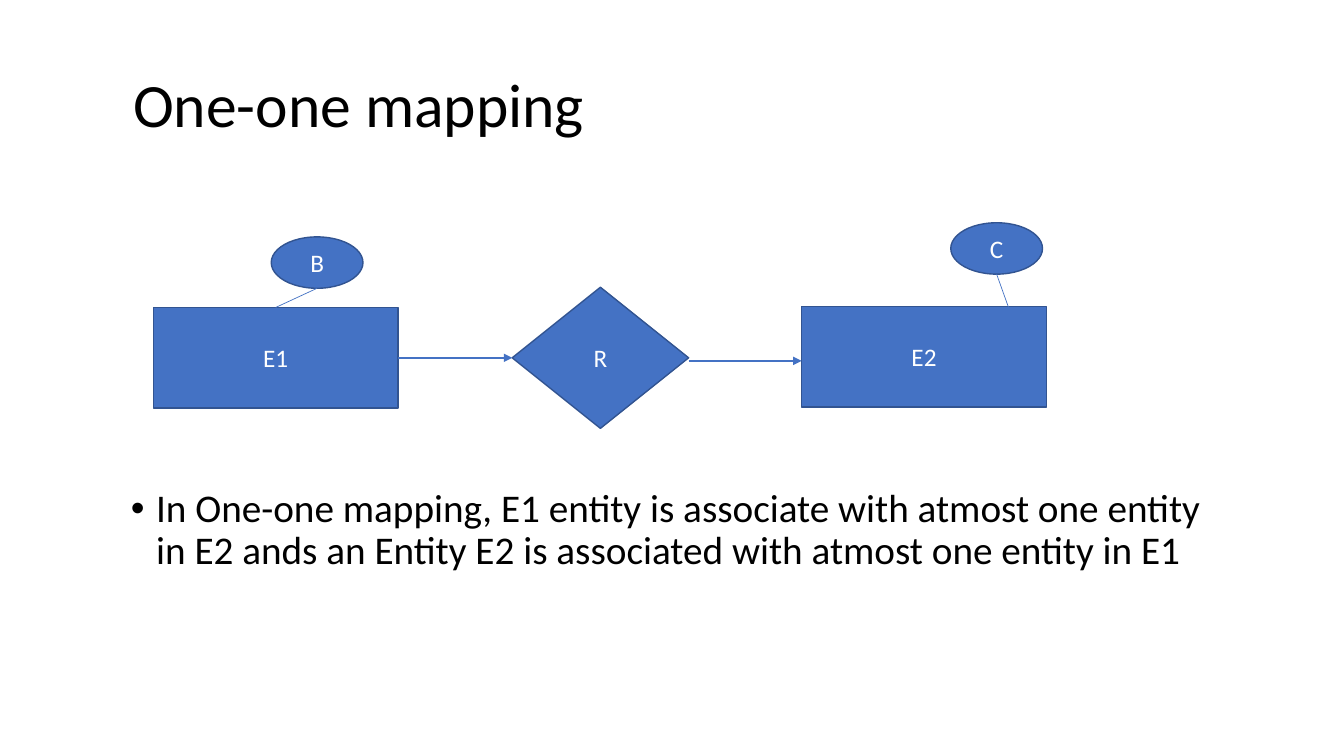
from lxml.etree import SubElement
from pptx import Presentation
from pptx.dml.color import RGBColor
from pptx.enum.shapes import MSO_CONNECTOR, MSO_SHAPE
from pptx.enum.text import MSO_ANCHOR, PP_ALIGN
from pptx.oxml.ns import qn
from pptx.util import Inches, Pt

BLACK = RGBColor(0x00, 0x00, 0x00)
WHITE = RGBColor(0xFF, 0xFF, 0xFF)
BLUE = RGBColor(0x44, 0x72, 0xC4)
DARK_BLUE = RGBColor(0x32, 0x54, 0x91)
FONT = "Calibri"

TITLE = "One-one mapping"
EXPLANATION = (
    "In One-one mapping, E1 entity is associate with atmost one entity "
    "in E2 ands an Entity E2 is associated with atmost one entity in E1"
)

ENTITY = (MSO_SHAPE.RECTANGLE, 2.43, 1.0)
RELATION = (MSO_SHAPE.DIAMOND, 1.75, 1.4)
ATTRIBUTE = (MSO_SHAPE.OVAL, 0.91, 0.51)

# label, kind, left, top
NODES = [
    ("E1", ENTITY, 1.52, 3.05),
    ("E2", ENTITY, 7.95, 3.04),
    ("R", RELATION, 5.08, 2.85),
    ("B", ATTRIBUTE, 2.69, 2.35),
    ("C", ATTRIBUTE, 9.43, 2.21),
]

TOP, LEFT, BOTTOM, RIGHT = range(4)
# start, end, width in points, arrow, joined start (node, side), joined end
LINKS = [
    ((3.15, 2.86), (2.74, 3.05), 0.5, False, ("B", BOTTOM), ("E1", TOP)),
    ((9.88, 2.72), (10.06, 3.21), 0.5, False, ("C", BOTTOM), None),
    ((3.95, 3.55), (5.08, 3.55), 1, True, ("E1", RIGHT), ("R", LEFT)),
    ((6.83, 3.58), (7.95, 3.58), 1, True, None, None),
]


def write(paragraph, text, size, color):
    run = paragraph.add_run()
    run.text = text
    run.font.name = FONT
    run.font.size = Pt(size)
    run.font.color.rgb = color


def add_node(slide, label, kind, left, top):
    preset, width, height = kind
    node = slide.shapes.add_shape(
        preset, Inches(left), Inches(top), Inches(width), Inches(height))
    node.shadow.inherit = False
    node.fill.solid()
    node.fill.fore_color.rgb = BLUE
    node.line.color.rgb = DARK_BLUE
    node.line.width = Pt(1)
    node.text_frame.vertical_anchor = MSO_ANCHOR.MIDDLE
    paragraph = node.text_frame.paragraphs[0]
    paragraph.alignment = PP_ALIGN.CENTER
    write(paragraph, label, 18, WHITE)
    return node


def add_link(slide, nodes, start, end, width, arrow, start_join, end_join):
    link = slide.shapes.add_connector(
        MSO_CONNECTOR.STRAIGHT, *(Inches(v) for v in start + end))
    if start_join:
        link.begin_connect(nodes[start_join[0]], start_join[1])
    if end_join:
        link.end_connect(nodes[end_join[0]], end_join[1])
    link.line.color.rgb = BLUE
    link.line.width = Pt(width)
    if arrow:
        SubElement(link.line._get_or_add_ln(), qn("a:tailEnd"), type="triangle")
    SubElement(link._element.spPr, qn("a:effectLst"))


def add_title(slide):
    title = slide.shapes.title
    title.left, title.top = Inches(1.22), Inches(0.46)
    title.width, title.height = Inches(11.33), Inches(1.21)
    title.text_frame.vertical_anchor = MSO_ANCHOR.MIDDLE
    paragraph = title.text_frame.paragraphs[0]
    paragraph.alignment = PP_ALIGN.LEFT
    paragraph.line_spacing = 0.9
    write(paragraph, TITLE, 44, BLACK)


def add_explanation(slide):
    box = slide.shapes.add_textbox(
        Inches(1.2), Inches(4.8), Inches(10.92), Inches(2.7))
    box.text_frame.word_wrap = True
    paragraph = box.text_frame.paragraphs[0]
    paragraph.line_spacing = 0.9
    properties = paragraph._p.get_or_add_pPr()
    properties.set("marL", str(Inches(0.25)))
    properties.set("indent", str(-Inches(0.25)))
    SubElement(properties, qn("a:buFont"), typeface="Arial")
    SubElement(properties, qn("a:buChar"), char="•")
    write(paragraph, EXPLANATION, 28, BLACK)


def main():
    presentation = Presentation()
    presentation.slide_width = Inches(13.33)
    presentation.slide_height = Inches(7.5)
    slide = presentation.slides.add_slide(presentation.slide_layouts[5])
    add_title(slide)
    add_explanation(slide)
    nodes = {node[0]: add_node(slide, *node) for node in NODES}
    for link in LINKS:
        add_link(slide, nodes, *link)
    presentation.save("out.pptx")


if __name__ == "__main__":
    main()
